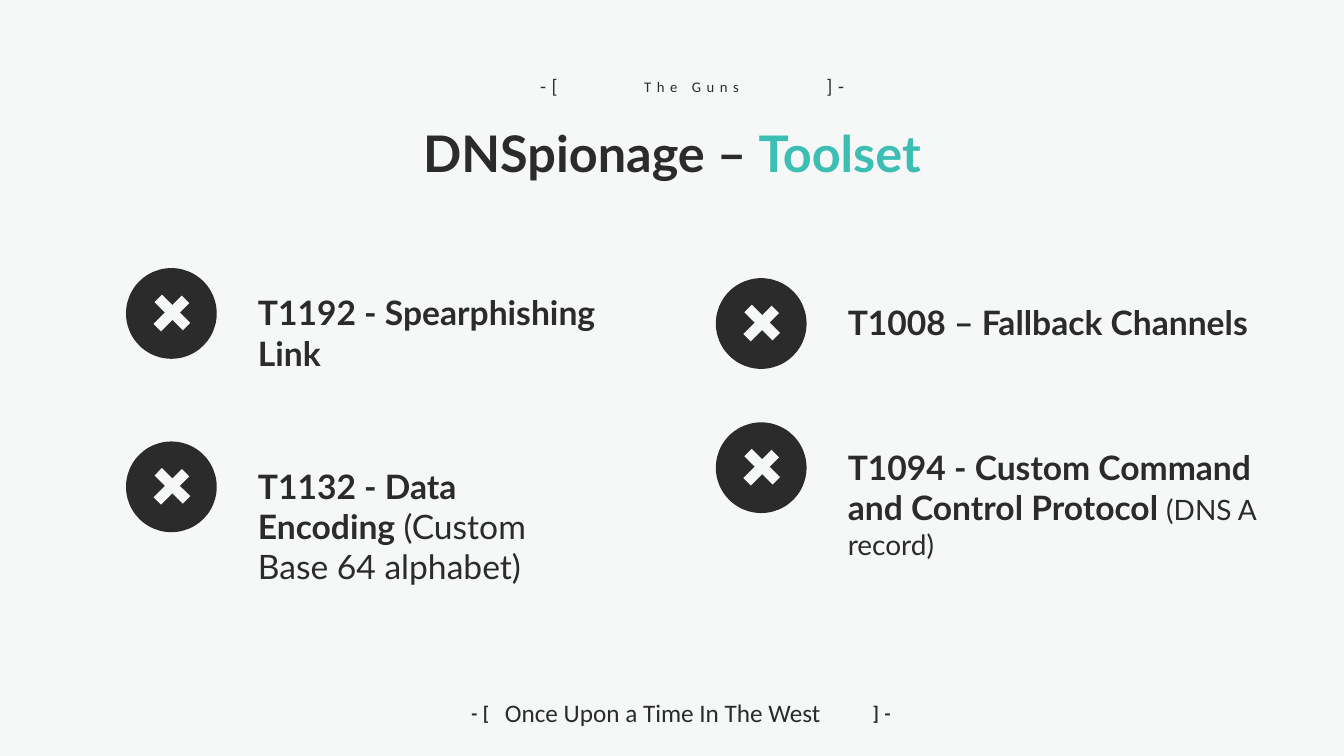
from dataclasses import dataclass

from lxml import etree
from pptx import Presentation
from pptx.dml.color import RGBColor
from pptx.enum.shapes import MSO_CONNECTOR, MSO_SHAPE
from pptx.enum.text import MSO_AUTO_SIZE, PP_ALIGN
from pptx.oxml.ns import qn
from pptx.util import Inches, Pt


@dataclass(frozen=True)
class Theme:
    paper: RGBColor = RGBColor(0xF6, 0xF8, 0xF8)
    ink: RGBColor = RGBColor(0x2B, 0x2B, 0x2B)
    accent: RGBColor = RGBColor(0x3C, 0xBE, 0xB4)
    heading_font: str = "Lato"
    small_font: str = "Calibri"
    title: float = 36
    item: float = 24
    detail: float = 20
    footer: float = 18
    bracket: float = 14
    label: float = 10.5
    cross: float = 7.5
    tracking: int = 400


THEME = Theme()


def add_text(slide, box, runs, font, align=PP_ALIGN.LEFT, wrap=True, tracking=None):
    sp = slide.shapes.add_textbox(*map(Inches, box))
    tf = sp.text_frame
    tf.word_wrap = wrap
    tf.auto_size = MSO_AUTO_SIZE.SHAPE_TO_FIT_TEXT
    p = tf.paragraphs[0]
    p.alignment = align
    for text, size, bold, color in runs:
        r = p.add_run()
        r.text = text
        r.font.name = font
        r.font.size = Pt(size)
        r.font.bold = bold
        r.font.color.rgb = color
        if tracking:
            r.font._element.set("spc", str(tracking))


def add_tracked(slide, box, text, size, bold=False):
    add_text(slide, box, [(text, size, bold, THEME.ink)], THEME.small_font,
             PP_ALIGN.CENTER, wrap=False, tracking=THEME.tracking)


def add_brackets(slide, lefts, top, width, height, bold):
    for left, text in zip(lefts, ("-[", "]-")):
        add_tracked(slide, (left, top, width, height), text, THEME.bracket, bold)


def add_stroke(slide, x1, y1, x2, y2):
    line = slide.shapes.add_connector(MSO_CONNECTOR.STRAIGHT, *map(Inches, (x1, y1, x2, y2)))
    line.line.color.rgb = THEME.paper
    line.line.width = Pt(THEME.cross)
    etree.SubElement(line._element.spPr, qn("a:effectLst"))


def add_cross_badge(slide, left, top):
    sp = slide.shapes.add_shape(MSO_SHAPE.OVAL, *map(Inches, (left, top, 0.9, 0.9)))
    sp.shadow.inherit = False
    sp.fill.solid()
    sp.fill.fore_color.rgb = THEME.ink
    sp.line.fill.background()
    add_stroke(slide, left + 0.59, top + 0.31, left + 0.31, top + 0.59)
    add_stroke(slide, left + 0.6, top + 0.58, left + 0.32, top + 0.3)


def add_technique(slide, left, top, width, height, name, detail="", detail_size=THEME.item):
    add_cross_badge(slide, left, top)
    runs = [(name, THEME.item, True, THEME.ink)]
    if detail:
        runs.append((detail, detail_size, False, THEME.ink))
    add_text(slide, (left + 1.21, top + 0.19, width, height), runs, THEME.heading_font)


def add_header(slide):
    add_tracked(slide, (6.29, 0.72, 1.14, 0.28), "The Guns", THEME.label)
    add_brackets(slide, (5.23, 8.07), 0.68, 0.43, 0.35, bold=False)
    add_text(slide, (3.01, 1.16, 7.31, 0.71),
             [("DNSpionage – ", THEME.title, True, THEME.ink),
              ("Toolset", THEME.title, True, THEME.accent)],
             THEME.heading_font, PP_ALIGN.CENTER)


def add_footer(slide):
    add_text(slide, (4.91, 6.87, 3.64, 0.4),
             [("Once Upon a Time In The West", THEME.footer, False, THEME.ink)],
             THEME.small_font)
    add_brackets(slide, (4.48, 8.46), 6.9, 0.57, 0.34, bold=True)


def main():
    prs = Presentation()
    prs.slide_width, prs.slide_height = Inches(13.33), Inches(7.5)
    slide = prs.slides.add_slide(prs.slide_layouts[6])
    slide.background.fill.solid()
    slide.background.fill.fore_color.rgb = THEME.paper

    add_footer(slide)
    add_header(slide)

    left_column, right_column = 1.25, 7.1
    add_technique(slide, left_column, 2.66, 3.76, 0.91, "T1192 - Spearphishing Link")
    add_technique(slide, left_column, 4.38, 2.9, 1.31, "T1132 - Data Encoding ",
                  "(Custom Base 64 alphabet)")
    add_technique(slide, right_column, 2.76, 4.31, 0.5, "T1008 – Fallback Channels")
    add_technique(slide, right_column, 4.19, 4.31, 1.25,
                  "T1094 - Custom Command and Control Protocol ",
                  "(DNS A record)", THEME.detail)

    prs.save("out.pptx")


if __name__ == "__main__":
    main()
